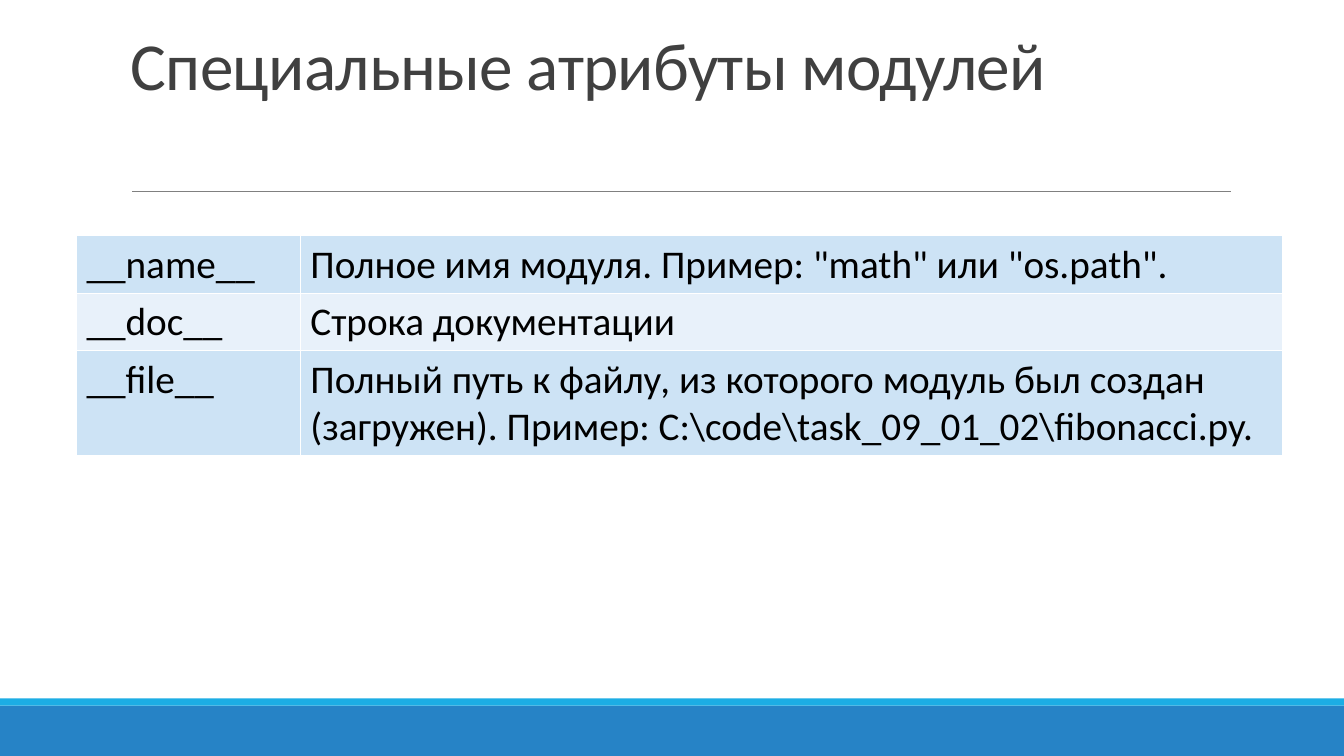
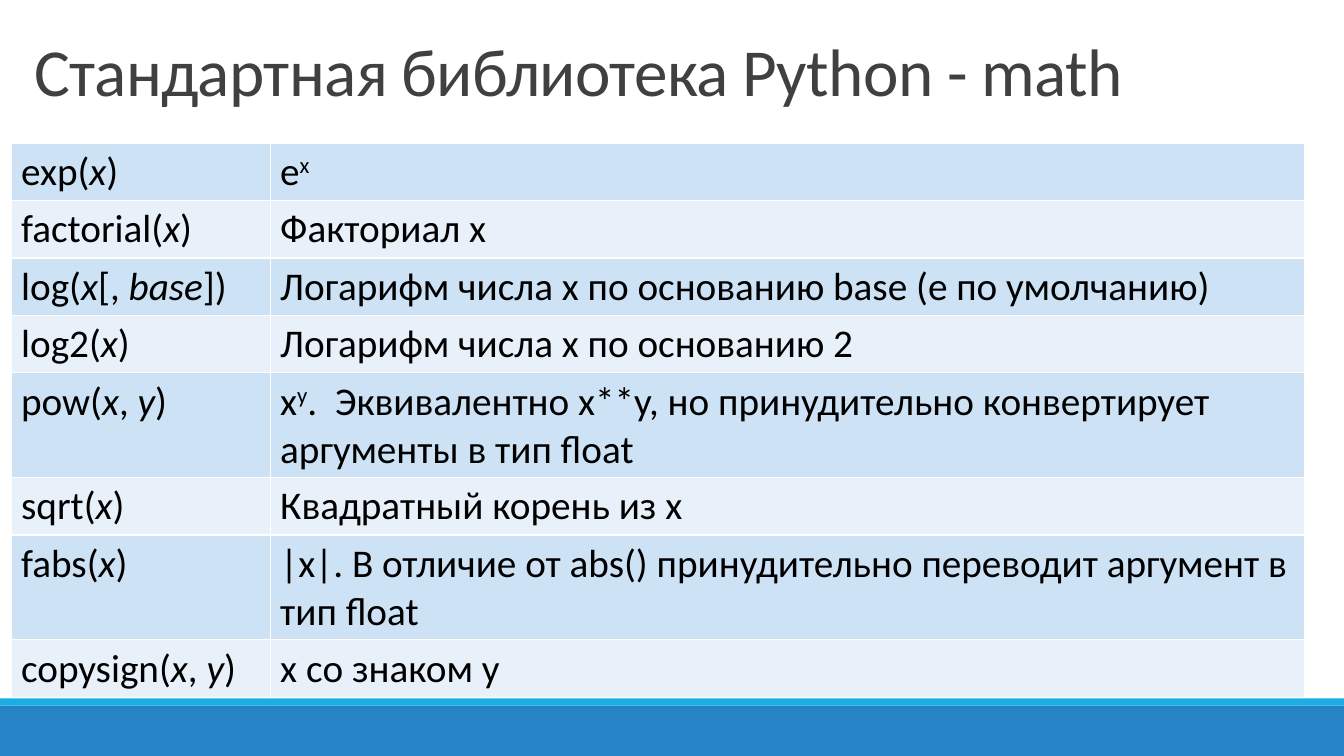
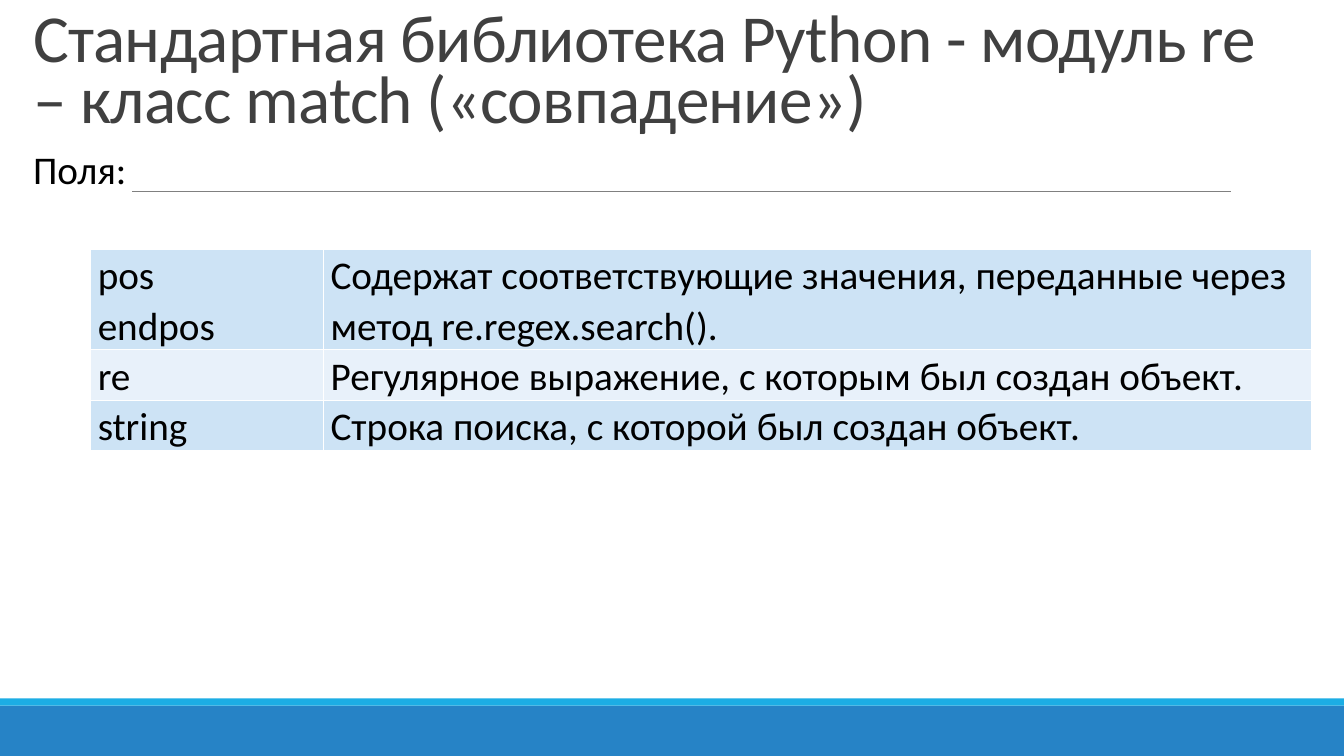
from lxml.etree import SubElement
from pptx import Presentation
from pptx.dml.color import RGBColor
from pptx.enum.shapes import MSO_CONNECTOR, MSO_SHAPE
from pptx.enum.text import MSO_ANCHOR
from pptx.oxml.ns import qn
from pptx.util import Inches, Pt

FONT = "Calibri"
BLACK = RGBColor(0x00, 0x00, 0x00)
WHITE = RGBColor(0xFF, 0xFF, 0xFF)
TITLE_GREY = RGBColor(0x40, 0x40, 0x40)
RULE_GREY = RGBColor(0x80, 0x80, 0x80)
BLUE = RGBColor(0x26, 0x83, 0xC6)
CYAN = RGBColor(0x1C, 0xAD, 0xE4)
ROW_FILLS = (RGBColor(0xCD, 0xE3, 0xF5), RGBColor(0xE8, 0xF1, 0xFA))

SLIDE_WIDTH, SLIDE_HEIGHT = 13.33, 7.5
BANDS = ((7, 0.5, BLUE), (6.93, 0.07, CYAN))  # top, height, fill
RULE_LEFT, RULE_RIGHT, RULE_TOP = 1.31, 12.21, 1.9
TITLE_SIZE, BODY_SIZE = 48, 28

# A paragraph is a string or a list of runs; a run is a string or (text, style).
X, Y, BASE = ("x", "italic"), ("y", "italic"), ("base", "italic")

# A row holds its line count, then its cells; a cell is a list of paragraphs.
MODULE_ATTRIBUTES = [
    (1, ["__name__"], ['Полное имя модуля. Пример: "math" или "os.path".']),
    (1, ["__doc__"], ["Строка документации"]),
    (2, ["__file__"], ["Полный путь к файлу, из которого модуль был создан (загружен). "
                       "Пример: C:\\code\\task_09_01_02\\fibonacci.py."]),
]
MATH_FUNCTIONS = [
    (1, [["exp(", X, ")"]], [["e", ("x", "super")]]),
    (1, [["factorial(", X, ")"]], ["Факториал x"]),
    (1, [["log(", X, "[, ", BASE, "])"]],
     ["Логарифм числа x по основанию base (e по умолчанию)"]),
    (1, [["log2(", X, ")"]], ["Логарифм числа x по основанию 2"]),
    (2, [["pow(", X, ", ", Y, ")"]],
     [["x", ("y", "super"), ".  Эквивалентно x**y, но принудительно конвертирует "
                            "аргументы в тип float"]]),
    (1, [["sqrt(", X, ")"]], ["Квадратный корень из x"]),
    (2, [["fabs(", X, ")"]],
     ["|x|. В отличие от abs() принудительно переводит аргумент в тип float"]),
    (1, [["copysign(", X, ", ", Y, ")"]], ["x со знаком y"]),
]
MATCH_FIELDS = [
    (2, ["pos", "endpos"],
     ["Содержат соответствующие значения, переданные через метод re.regex.search()."]),
    (1, ["re"], ["Регулярное выражение, с которым был создан объект."]),
    (1, ["string"], ["Строка поиска, с которой был создан объект."]),
]

LOOSE = {"margins": (0.1, 0.05), "line_height": 0.47, "spacing": 1}
TIGHT = {"margins": (0.07, 0), "line_height": 0.5, "spacing": 1.07}

SLIDES = [
    {"title": "Специальные атрибуты модулей",
     "title_box": (1.2, 0.18, 11.01, 0.9), "title_spacing": 0.85,
     "table_at": (0.76, 2.34), "columns": (2.22, 9.74),
     "rows": MODULE_ATTRIBUTES, "layout": LOOSE},
    {"title": "Стандартная библиотека Python - math",
     "title_box": (0.24, 0.28, 12.71, 0.86), "title_spacing": 0.85,
     "table_at": (0.11, 1.42), "columns": (2.57, 10.26),
     "rows": MATH_FUNCTIONS, "layout": LOOSE},
    {"title": "Стандартная библиотека Python - модуль re – класс match («совпадение»)",
     "title_box": (0.23, 0, 12.69, 1.39), "title_spacing": 0.75,
     "label": "Поля:", "label_box": (0.23, 1.39, 1.33, 0.57),
     "table_at": (0.9, 2.47), "columns": (2.31, 9.8),
     "rows": MATCH_FIELDS, "layout": TIGHT},
]


def write_paragraphs(frame, paragraphs, size, color, line_spacing=1, tracking=None):
    """Fill a text frame run by run; tracking is in hundredths of a point."""
    frame.word_wrap = True
    for index, runs in enumerate(paragraphs):
        para = frame.add_paragraph() if index else frame.paragraphs[0]
        para.line_spacing = line_spacing
        for run in [runs] if isinstance(runs, str) else runs:
            text, style = (run, None) if isinstance(run, str) else run
            span = para.add_run()
            span.text = text
            span.font.name = FONT
            span.font.size = Pt(size)
            span.font.color.rgb = color
            properties = span.font._element
            if style == "italic":
                span.font.italic = True
            elif style == "super":
                properties.set("baseline", "30000")
            if tracking:
                properties.set("spc", str(tracking))


def add_text(page, box_at, text, size, color, anchor=MSO_ANCHOR.TOP, **style):
    box = page.shapes.add_textbox(*map(Inches, box_at))
    box.text_frame.vertical_anchor = anchor
    write_paragraphs(box.text_frame, [text], size, color, **style)


def add_bands(page):
    for top, height, color in BANDS:
        band = page.shapes.add_shape(MSO_SHAPE.RECTANGLE, 0, Inches(top),
                                     Inches(SLIDE_WIDTH), Inches(height))
        band.shadow.inherit = False
        band.fill.solid()
        band.fill.fore_color.rgb = color
        band.line.fill.background()


def add_rule(page):
    rule = page.shapes.add_connector(MSO_CONNECTOR.STRAIGHT, Inches(RULE_LEFT), Inches(RULE_TOP),
                                     Inches(RULE_RIGHT), Inches(RULE_TOP))
    rule.line.color.rgb = RULE_GREY
    rule.line.width = Pt(0.5)
    SubElement(rule._element.spPr, qn("a:effectLst"))


def add_borders(cell):
    properties = cell._tc.get_or_add_tcPr()
    for side in ("lnL", "lnR", "lnT", "lnB"):
        border = SubElement(properties, qn(f"a:{side}"), w=str(Pt(1)))
        fill = SubElement(border, qn("a:solidFill"))
        SubElement(fill, qn("a:srgbClr"), val=str(WHITE))


def add_data_table(page, table_at, columns, rows, layout):
    side_margin, end_margin = layout["margins"]
    heights = [lines * layout["line_height"] + 2 * end_margin for lines, *_ in rows]
    table = page.shapes.add_table(len(rows), len(columns), *map(Inches, table_at),
                                  Inches(sum(columns)), Inches(sum(heights))).table
    table.first_row = table.horz_banding = False
    for column, width in zip(table.columns, columns):
        column.width = Inches(width)
    for row_index, (_, *contents) in enumerate(rows):
        table.rows[row_index].height = Inches(heights[row_index])
        for cell, paragraphs in zip(table.rows[row_index].cells, contents):
            add_borders(cell)
            cell.fill.solid()
            cell.fill.fore_color.rgb = ROW_FILLS[row_index % 2]
            cell.margin_left = cell.margin_right = Inches(side_margin)
            cell.margin_top = cell.margin_bottom = Inches(end_margin)
            write_paragraphs(cell.text_frame, paragraphs, BODY_SIZE, BLACK, layout["spacing"])


def main():
    deck = Presentation()
    deck.slide_width, deck.slide_height = Inches(SLIDE_WIDTH), Inches(SLIDE_HEIGHT)
    for content in SLIDES:
        page = deck.slides.add_slide(deck.slide_layouts[6])
        add_bands(page)
        if content["table_at"][1] > RULE_TOP:
            add_rule(page)
        add_text(page, content["title_box"], content["title"], TITLE_SIZE, TITLE_GREY,
                 MSO_ANCHOR.BOTTOM, line_spacing=content["title_spacing"], tracking=-50)
        if "label" in content:
            add_text(page, content["label_box"], content["label"], BODY_SIZE, BLACK)
        add_data_table(page, content["table_at"], content["columns"],
                       content["rows"], content["layout"])
    deck.save("out.pptx")


if __name__ == "__main__":
    main()
